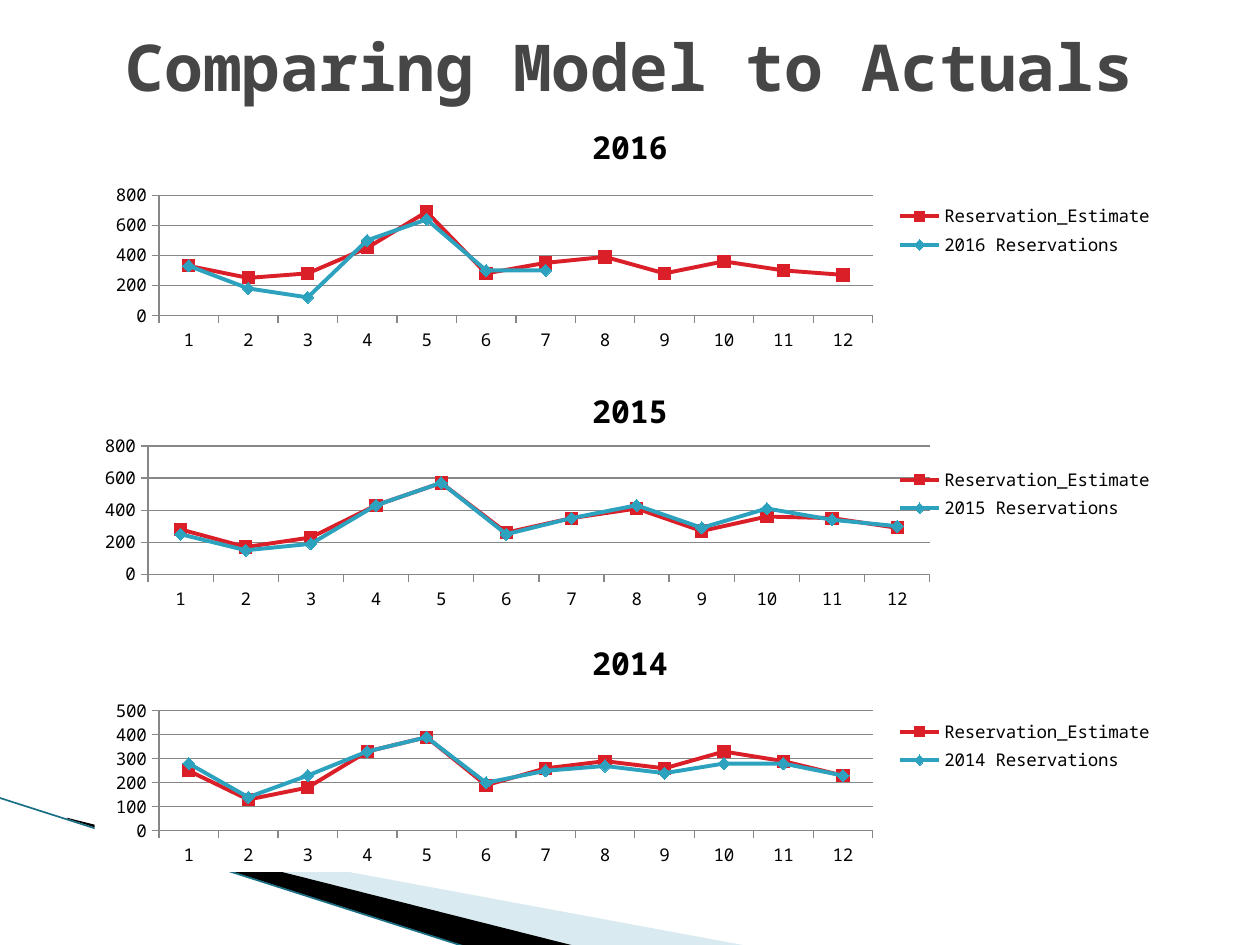
from lxml import etree
from pptx import Presentation
from pptx.chart.data import CategoryChartData
from pptx.dml.color import RGBColor
from pptx.enum.chart import XL_CHART_TYPE as ChartType, XL_LEGEND_POSITION as LegendPos
from pptx.enum.chart import XL_MARKER_STYLE as Marker, XL_TICK_MARK as Tick
from pptx.enum.shapes import MSO_CONNECTOR as Connector
from pptx.enum.text import MSO_ANCHOR as Anchor, MSO_AUTO_SIZE as AutoSize, PP_ALIGN as Align
from pptx.oxml.ns import qn
from pptx.util import Pt

FONT = "Noto Sans Mono"
COLORS = {
    "title": "464646", "text": "000000", "grid": "878787", "white": "FFFFFF",
    "estimate": "DA1F28", "actual": "2DA2BF",
    "pale": "A0CBDC", "black": "000000", "edge": "1B6F85",
}
TITLE = "Comparing Model to Actuals"
MONTHS = [str(m) for m in range(1, 13)]
CHARTS = [
    {"year": "2016", "top": 59.76, "max": 800, "step": 200,
     "estimate": [330, 250, 280, 450, 690, 280, 350, 390, 280, 360, 300, 270],
     "actual": [330, 180, 120, 500, 640, 300, 300] + [None] * 5},
    {"year": "2015", "top": 210.24, "max": 800, "step": 200,
     "plot": {"x": 0.05, "y": 0.31, "w": 0.73, "h": 0.51},
     "estimate": [280, 170, 230, 430, 570, 260, 350, 410, 270, 360, 350, 290],
     "actual": [250, 150, 190, 430, 570, 250, 350, 430, 290, 410, 340, 300]},
    {"year": "2014", "top": 354.24, "max": 500, "step": 100, "fill": "white",
     "estimate": [250, 130, 180, 330, 390, 190, 260, 290, 260, 330, 290, 230],
     "actual": [280, 140, 230, 330, 390, 200, 250, 270, 240, 280, 280, 230]},
]
CHART_LEFT, CHART_W, CHART_H = 54, 612, 144
# Decorative wedges: colour, opacity in percent, corner points
WEDGES = [
    ("pale", 40, [(39.6, 468.7), (428.4, 540.7), (328.3, 540.7), (39.6, 468)]),
    ("black", 100, [(38.2, 467.3), (329, 540.7), (267.8, 541.4), (38.9, 468)]),
]
EDGE = (-0.7, 455.8, 267.1, 541.4)


def rgb(name):
    return RGBColor.from_string(COLORS[name])


def style_font(font, size, color, bold=False):
    font.name, font.size, font.bold = FONT, Pt(size), bold
    font.color.rgb = rgb(color)


def add_wedge(shapes, color, opacity, points):
    corners = [(Pt(x), Pt(y)) for x, y in points]
    builder = shapes.build_freeform(*corners[0])
    builder.add_line_segments(corners[1:], close=True)
    sp = builder.convert_to_shape()
    sp.shadow.inherit = False
    sp.line.fill.background()
    sp.fill.solid()
    sp.fill.fore_color.rgb = rgb(color)
    if opacity < 100:
        clr = sp.fill._xPr.find(".//" + qn("a:srgbClr"))
        etree.SubElement(clr, qn("a:alpha"), val=str(opacity * 1000))


def add_edge(shapes):
    line = shapes.add_connector(Connector.STRAIGHT, *(Pt(v) for v in EDGE))
    line.line.color.rgb = rgb("edge")
    line.line.width = Pt(0.95)
    etree.SubElement(line._element.spPr, qn("a:effectLst"))


def set_plot_layout(chart, box):
    """Fix the inner plot area as fractions of the chart."""
    area = chart._chartSpace.chart.plotArea
    for old in area.findall(qn("c:layout")):
        area.remove(old)
    layout = etree.Element(qn("c:layout"))
    manual = etree.SubElement(layout, qn("c:manualLayout"))
    values = {"layoutTarget": "inner", "xMode": "edge", "yMode": "edge", **box}
    for tag, value in values.items():
        etree.SubElement(manual, qn("c:" + tag), val=str(value))
    area.insert(0, layout)


def fill_chart(chart, color):
    space = chart._chartSpace
    sp_pr = etree.Element(qn("c:spPr"))
    solid = etree.SubElement(sp_pr, qn("a:solidFill"))
    etree.SubElement(solid, qn("a:srgbClr"), val=COLORS[color])
    space.chart.addnext(sp_pr)


def style_axes(chart, item):
    values = chart.value_axis
    values.minimum_scale, values.maximum_scale = 0, item["max"]
    values.major_unit = item["step"]
    values.has_major_gridlines = True
    values.tick_labels.number_format = "#,##0"
    values.tick_labels.number_format_is_linked = False
    for axis in (chart.category_axis, values):
        axis.major_tick_mark = Tick.OUTSIDE
        axis.minor_tick_mark = Tick.NONE
    for holder in (chart.category_axis, values, values.major_gridlines):
        holder.format.line.color.rgb = rgb("grid")
        holder.format.line.width = Pt(0.75)


def style_series(series, color, marker):
    series.smooth = False
    series.format.line.color.rgb = rgb(color)
    series.format.line.width = Pt(2.25)
    series.marker.style, series.marker.size = marker, 7
    series.marker.format.fill.solid()
    series.marker.format.fill.fore_color.rgb = rgb(color)
    series.marker.format.line.color.rgb = rgb(color)


def add_year_chart(shapes, item):
    data = CategoryChartData(number_format="#,##0")
    data.categories = MONTHS
    data.add_series("Reservation_Estimate", item["estimate"])
    data.add_series(f"{item['year']} Reservations", item["actual"])
    chart = shapes.add_chart(ChartType.LINE_MARKERS, Pt(CHART_LEFT), Pt(item["top"]),
                             Pt(CHART_W), Pt(CHART_H), data).chart
    style_font(chart.font, 10, "text")
    chart.has_title = True
    tf = chart.chart_title.text_frame
    tf.text = item["year"]
    style_font(tf.paragraphs[0].runs[0].font, 18, "text", bold=True)
    chart.chart_title.include_in_layout = False
    chart.has_legend = True
    chart.legend.position = LegendPos.RIGHT
    chart.legend.include_in_layout = False
    style_axes(chart, item)
    plot = chart.plots[0]
    plot.vary_by_categories = False
    looks = [("estimate", Marker.SQUARE), ("actual", Marker.DIAMOND)]
    for series, look in zip(plot.series, looks):
        style_series(series, *look)
    if "plot" in item:
        set_plot_layout(chart, item["plot"])
    if "fill" in item:
        fill_chart(chart, item["fill"])


def set_title(title):
    title.left, title.top, title.width, title.height = Pt(36), Pt(12.24), Pt(648), Pt(50.4)
    tf = title.text_frame
    tf.text = TITLE
    tf.auto_size, tf.vertical_anchor = AutoSize.NONE, Anchor.MIDDLE
    p = tf.paragraphs[0]
    p.alignment = Align.CENTER
    style_font(p.runs[0].font, 36.9, "title", bold=True)


def main():
    prs = Presentation()
    prs.slide_width, prs.slide_height = Pt(720), Pt(540)
    s = prs.slides.add_slide(prs.slide_layouts[5])
    for wedge in WEDGES:
        add_wedge(s.shapes, *wedge)
    add_edge(s.shapes)
    set_title(s.shapes.title)
    for item in CHARTS:
        add_year_chart(s.shapes, item)
    prs.save("out.pptx")


if __name__ == "__main__":
    main()
